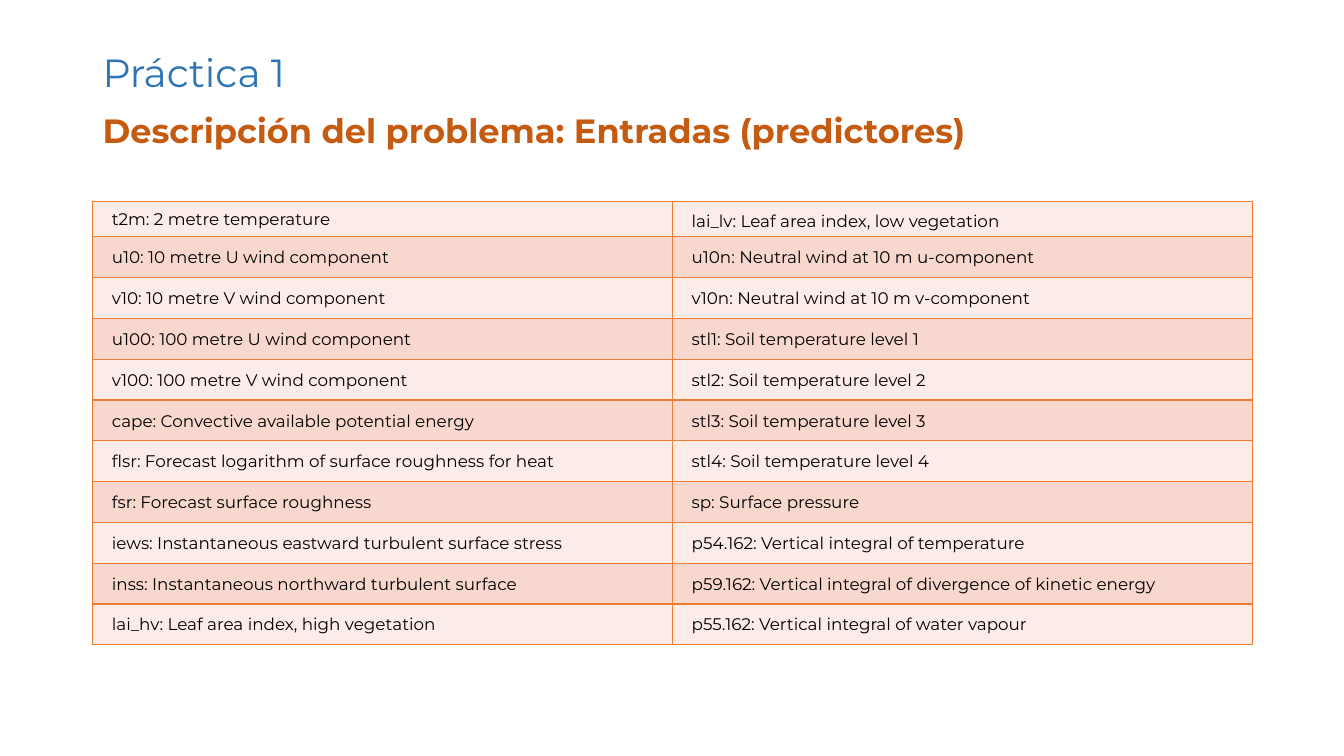
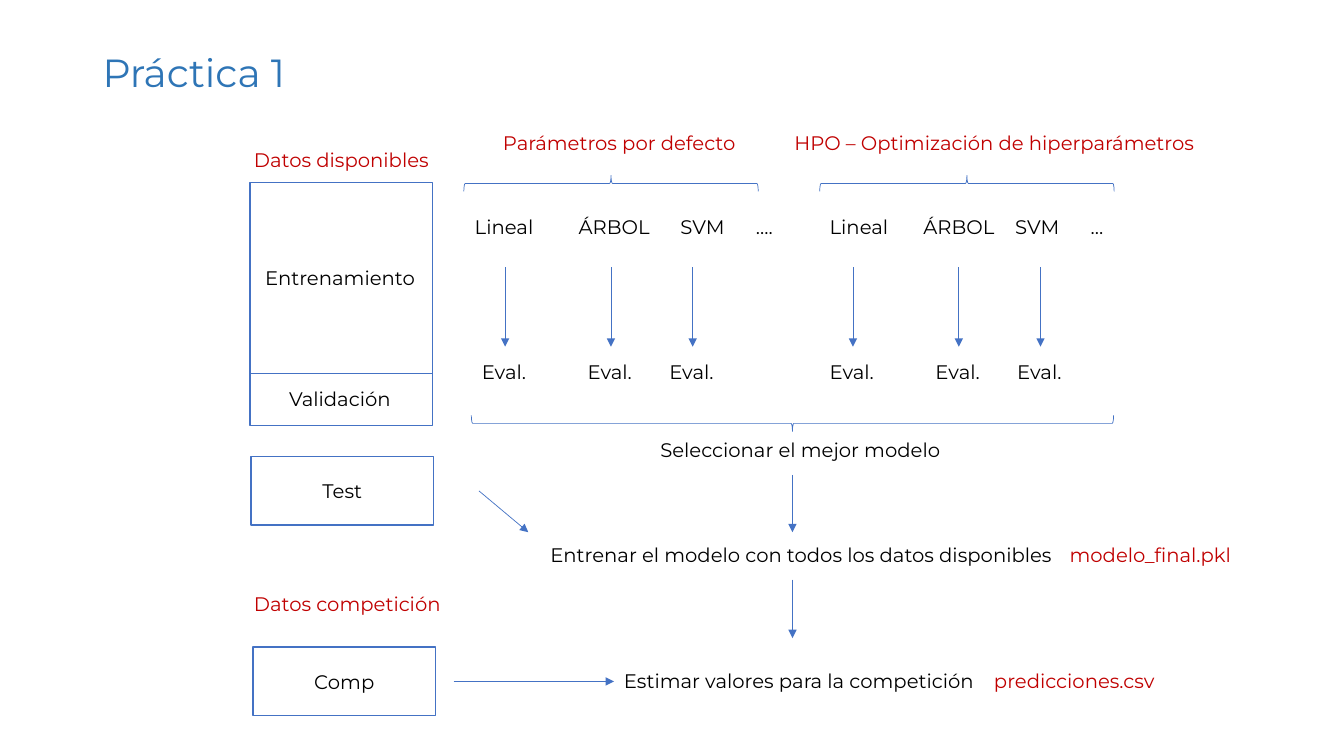
from dataclasses import dataclass

from lxml import etree
from pptx import Presentation
from pptx.dml.color import RGBColor
from pptx.enum.shapes import MSO_CONNECTOR, MSO_SHAPE
from pptx.enum.text import MSO_ANCHOR, PP_ALIGN
from pptx.oxml.ns import qn
from pptx.util import Inches, Pt

RECT, BRACE = MSO_SHAPE.RECTANGLE, MSO_SHAPE.LEFT_BRACE
STRAIGHT = MSO_CONNECTOR.STRAIGHT
TOP, MIDDLE, BOTTOM = MSO_ANCHOR.TOP, MSO_ANCHOR.MIDDLE, MSO_ANCHOR.BOTTOM
LEFT, CENTER = PP_ALIGN.LEFT, PP_ALIGN.CENTER


@dataclass(frozen=True)
class Theme:
    font: str = "Montserrat"
    title: str = "2E75B6"
    subtitle: str = "C55A11"
    text: str = "000000"
    accent: str = "C00000"
    line: str = "4472C4"
    box_fill: str = "FFFFFF"
    border: str = "ED7D31"
    bands: tuple = ("FCECE8", "F8D7CE")
    title_size: int = 28
    subtitle_size: int = 24
    label_size: int = 14
    table_size: int = 12
    thin: float = 0.5
    thick: float = 1


T = Theme()
MARGIN, CONTENT_W = 0.92, 11.5

PREDICTORS = [
    ("t2m: 2 metre temperature", "lai_lv: Leaf area index, low vegetation"),
    ("u10: 10 metre U wind component", "u10n: Neutral wind at 10 m u-component"),
    ("v10: 10 metre V wind component", "v10n: Neutral wind at 10 m v-component"),
    ("u100: 100 metre U wind component", "stl1: Soil temperature level 1"),
    ("v100: 100 metre V wind component", "stl2: Soil temperature level 2"),
    ("cape: Convective available potential energy", "stl3: Soil temperature level 3"),
    ("flsr: Forecast logarithm of surface roughness for heat", "stl4: Soil temperature level 4"),
    ("fsr: Forecast surface roughness", "sp: Surface pressure"),
    ("iews: Instantaneous eastward turbulent surface stress",
     "p54.162: Vertical integral of temperature"),
    ("inss: Instantaneous northward turbulent surface",
     "p59.162: Vertical integral of divergence of kinetic energy"),
    ("lai_hv: Leaf area index, high vegetation", "p55.162: Vertical integral of water vapour"),
]


def rgb(value):
    return RGBColor.from_string(value)


# Text
def write(tf, text, size, color, bold=False, align=LEFT):
    p = tf.paragraphs[0]
    p.text = text
    p.alignment = align
    p.font.name, p.font.size, p.font.bold = T.font, Pt(size), bold
    p.font.color.rgb = rgb(color)
    return p


def add_heading(s, text, top, height, size, color, bold=False, anchor=TOP):
    tf = s.shapes.add_textbox(Inches(MARGIN), Inches(top),
                              Inches(CONTENT_W), Inches(height)).text_frame
    tf.word_wrap = True
    tf.vertical_anchor = anchor
    write(tf, text, size, color, bold).line_spacing = 0.9


def add_title(s):
    add_heading(s, "Práctica 1", 0.4, 0.69, T.title_size, T.title, anchor=MIDDLE)


def add_label(s, text, x, y, w, color=T.text):
    tf = s.shapes.add_textbox(Inches(x), Inches(y), Inches(w), Inches(0.34)).text_frame
    tf.word_wrap = False
    write(tf, text, T.label_size, color)


# Shapes and lines
def add_box(s, x, y, w, h, text=""):
    sp = s.shapes.add_shape(RECT, Inches(x), Inches(y), Inches(w), Inches(h))
    sp.shadow.inherit = False
    sp.fill.solid()
    sp.fill.fore_color.rgb = rgb(T.box_fill)
    sp.line.color.rgb = rgb(T.line)
    sp.line.width = Pt(T.thick)
    if text:
        sp.text_frame.vertical_anchor = MIDDLE
        write(sp.text_frame, text, T.label_size, T.text, align=CENTER)


def add_brace(s, cx, cy, span, rotation):
    depth = 0.16
    sp = s.shapes.add_shape(BRACE, Inches(cx - depth / 2), Inches(cy - span / 2),
                            Inches(depth), Inches(span))
    sp.rotation = rotation
    sp.shadow.inherit = False
    sp.fill.background()
    sp.line.color.rgb = rgb(T.line)
    sp.line.width = Pt(T.thin)


def add_line(s, x1, y1, x2, y2, arrow=True):
    c = s.shapes.add_connector(STRAIGHT, Inches(x1), Inches(y1), Inches(x2), Inches(y2))
    c.line.color.rgb = rgb(T.line)
    c.line.width = Pt(T.thin)
    if arrow:
        etree.SubElement(c.line._get_or_add_ln(), qn("a:tailEnd"), type="triangle")
    etree.SubElement(c._element.spPr, qn("a:effectLst"))


# Table
def style_cell(cell, text, fill):
    tc_pr = cell._tc.get_or_add_tcPr()
    for side in ("lnL", "lnR", "lnT", "lnB"):
        ln = etree.SubElement(tc_pr, qn(f"a:{side}"), w=str(Pt(T.thick)))
        solid = etree.SubElement(ln, qn("a:solidFill"))
        etree.SubElement(solid, qn("a:srgbClr"), val=T.border)
    cell.fill.solid()
    cell.fill.fore_color.rgb = rgb(fill)
    cell.vertical_anchor = MIDDLE
    cell.margin_left = Inches(0.19)
    cell.margin_right = cell.margin_top = Inches(0.01)
    cell.margin_bottom = 0
    write(cell.text_frame, text, T.table_size, T.text)


def add_predictor_table(s, top=2, height=4.4, first_h=0.35):
    table = s.shapes.add_table(len(PREDICTORS), 2, Inches(MARGIN), Inches(top),
                               Inches(CONTENT_W), Inches(height)).table
    table.first_row = table.horz_banding = False
    row_h = (height - first_h) / (len(PREDICTORS) - 1)
    for i, names in enumerate(PREDICTORS):
        table.rows[i].height = Inches(row_h if i else first_h)
        for j, name in enumerate(names):
            style_cell(table.cell(i, j), name, T.bands[i % 2])
    # The low vegetation cell sits on the bottom of its row
    cell = table.cell(0, 1)
    cell.vertical_anchor = BOTTOM
    cell.margin_bottom = Inches(0.05)


# Slides
def build_predictors(s):
    add_title(s)
    add_heading(s, "Descripción del problema: Entradas (predictores)", 1.09, 0.9,
                T.subtitle_size, T.subtitle, bold=True)
    add_predictor_table(s)


def add_data_column(s):
    add_label(s, "Datos disponibles", 2.42, 1.42, 1.96, T.accent)
    add_box(s, 2.48, 1.81, 1.81, 2.41)
    add_line(s, 2.48, 3.7, 4.29, 3.7, arrow=False)
    add_label(s, "Entrenamiento", 2.53, 2.59, 1.71)
    add_label(s, "Validación", 2.77, 3.79, 1.23)
    add_box(s, 2.49, 4.53, 1.81, 0.68, "Test")
    add_label(s, "Datos competición", 2.42, 5.82, 2.07, T.accent)
    add_box(s, 2.51, 6.42, 1.81, 0.68, "Comp")


def add_model_group(s, heading, heading_x, heading_w, brace_x, models, first_arrow):
    add_label(s, heading, heading_x, 1.25, heading_w, T.accent)
    add_brace(s, brace_x, 1.82, 2.92, 90)
    for name, x, w in models:
        add_label(s, name, x, 2.08, w)
    for offset in (0, 1.05, 1.86):
        x = first_arrow + offset
        add_line(s, x, 2.65, x, 3.44)
        add_label(s, "Eval.", x - 0.33, 3.52, 0.65)


def add_final_steps(s):
    add_brace(s, 7.86, 4.2, 6.37, 270)
    add_label(s, "Seleccionar el mejor modelo", 6.45, 4.3, 3.01)
    add_label(s, "Entrenar el modelo con todos los datos disponibles", 5.36, 5.34, 5.27)
    add_label(s, "modelo_final.pkl", 10.51, 5.34, 1.83, T.accent)
    add_label(s, "Estimar valores para la competición", 6.09, 6.59, 3.72)
    add_label(s, "predicciones.csv", 9.76, 6.59, 1.82, T.accent)
    for ends in ((7.86, 4.71, 7.86, 5.28), (7.86, 5.75, 7.86, 6.33),
                 (4.75, 4.87, 5.24, 5.28), (4.5, 6.76, 6.09, 6.76)):
        add_line(s, *ends)


def build_workflow(s):
    add_title(s)
    add_data_column(s)
    add_model_group(s, "Parámetros por defecto", 4.89, 2.54, 6.06,
                    (("Lineal", 4.61, 0.78), ("ÁRBOL", 5.64, 0.91),
                     ("SVM", 6.65, 0.64), ("….", 7.4, 0.37)), 5.01)
    add_model_group(s, "HPO – Optimización de hiperparámetros", 7.78, 4.21, 9.59,
                    (("Lineal", 8.13, 0.78), ("ÁRBOL", 9.06, 0.91),
                     ("SVM", 9.97, 0.64), ("…", 10.72, 0.33)), 8.46)
    add_final_steps(s)


def main():
    prs = Presentation()
    prs.slide_width, prs.slide_height = Inches(13.33), Inches(7.5)
    for build in (build_predictors, build_workflow):
        build(prs.slides.add_slide(prs.slide_layouts[6]))
    prs.save("out.pptx")


if __name__ == "__main__":
    main()
